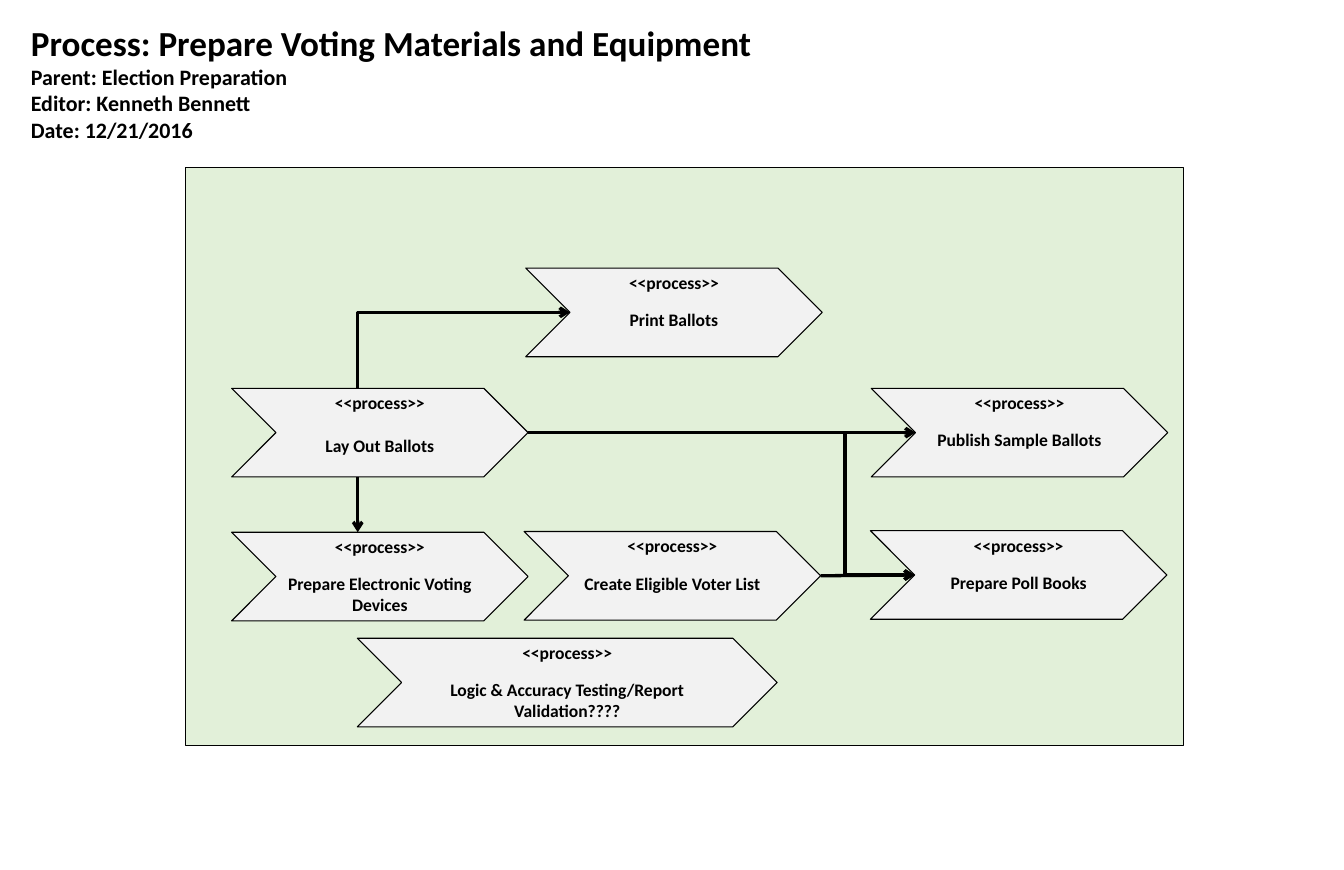
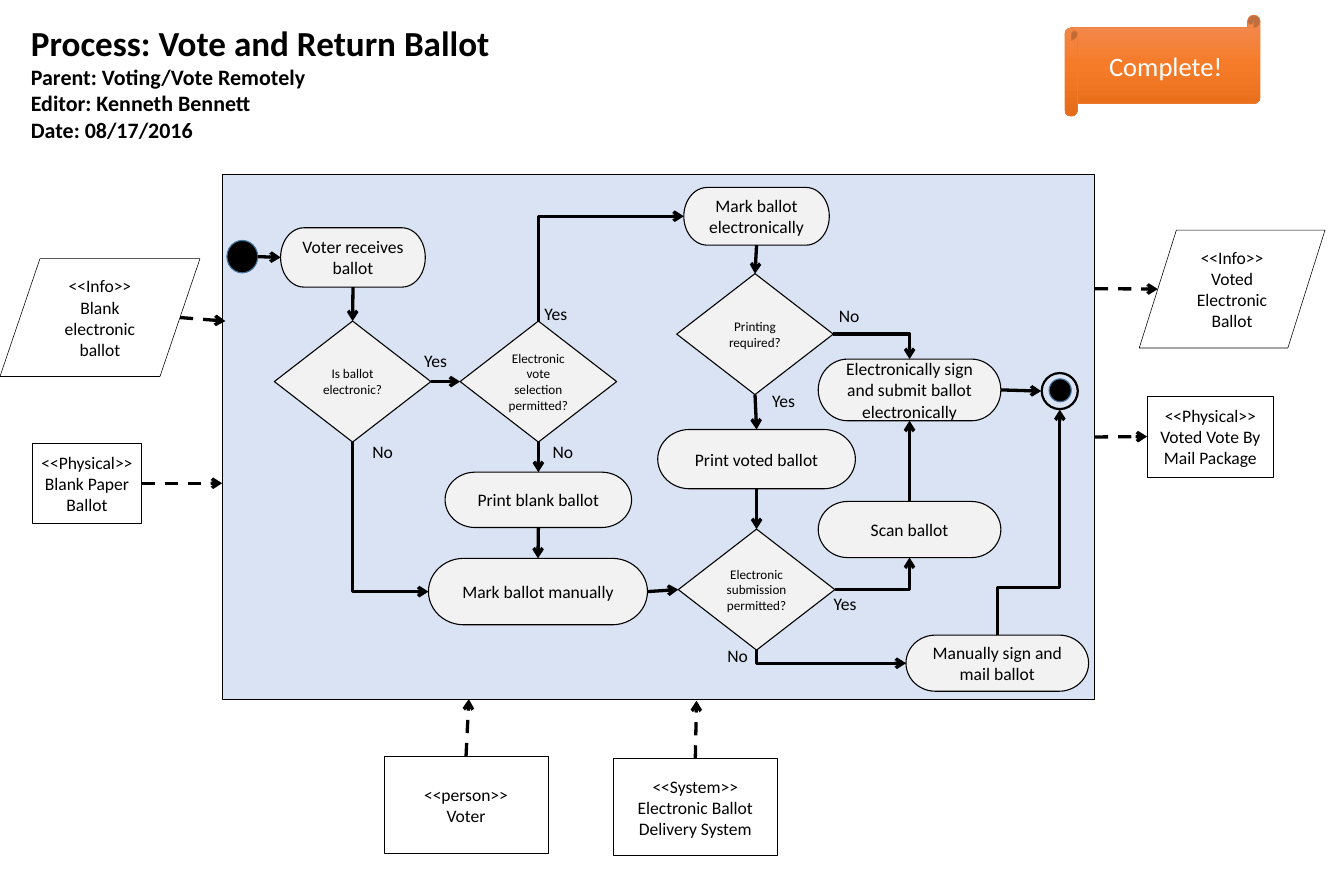
"""Build two election process diagrams."""
from copy import deepcopy
from dataclasses import dataclass
from typing import Any, NamedTuple

from lxml.etree import SubElement
from pptx import Presentation
from pptx.dml.color import RGBColor
from pptx.enum.dml import MSO_LINE
from pptx.enum.shapes import MSO_CONNECTOR, MSO_SHAPE
from pptx.enum.text import MSO_ANCHOR, MSO_AUTO_SIZE, PP_ALIGN
from pptx.oxml.ns import qn
from pptx.util import Inches, Pt

COLOURS = {
    "ink": "000000",
    "paper": "FFFFFF",
    "step": "F2F2F2",
    "preparation": "E2F0D9",
    "voting": "DAE3F3",
    "marker_edge": "43739E",
    "badge_edge": "ED7D31",
    "badge_top": "F18C57",
    "badge_middle": "F67B28",
    "badge_bottom": "E56C19",
}
TOP, LEFT, BOTTOM, RIGHT = range(4)
CHEVRON = MSO_SHAPE.CHEVRON
STEP = MSO_SHAPE.FLOWCHART_TERMINATOR
DECISION = MSO_SHAPE.FLOWCHART_DECISION
ENTITY = MSO_SHAPE.FLOWCHART_PROCESS
INFO = MSO_SHAPE.FLOWCHART_DATA
MARKER = MSO_SHAPE.FLOWCHART_CONNECTOR
RING = MSO_SHAPE.DONUT
PANEL = MSO_SHAPE.RECTANGLE
BADGE = MSO_SHAPE.HORIZONTAL_SCROLL
ROUND_KINDS = (MARKER, RING)
BADGE_STOPS = [(0, "badge_top"), (0.5, "badge_middle"), (1, "badge_bottom")]


class Look(NamedTuple):
    fill: str = ""
    edge: str = "ink"
    edge_width: float = 1
    size: float = 16
    ink: str = "ink"
    bold: bool = False
    anchor: Any = MSO_ANCHOR.MIDDLE


LOOKS = {
    CHEVRON: Look("step", bold=True, anchor=MSO_ANCHOR.TOP),
    STEP: Look("step"),
    DECISION: Look("step", size=12),
    ENTITY: Look(edge_width=0.5),
    INFO: Look(edge_width=0.5),
    MARKER: Look("ink", "marker_edge"),
    RING: Look("ink"),
    PANEL: Look(),
    BADGE: Look("badge_middle", "badge_edge", 0.5, 24.2, "paper"),
}


@dataclass
class Node:
    kind: Any
    left: float
    top: float
    width: float
    height: float
    text: str = ""
    fill: str = ""
    gap: float = 0

    def side(self, site: int) -> tuple[float, float]:
        notch = self.height / 2 if self.kind == CHEVRON else 0
        slant = self.width / 10 if self.kind == INFO else 0
        centre = self.left + (self.width - notch) / 2
        middle = self.top + self.height / 2
        return (
            (centre, self.top),
            (self.left + notch + slant, middle),
            (centre, self.top + self.height),
            (self.left + self.width - slant, middle),
        )[site]


class Link(NamedTuple):
    start: tuple
    end: tuple
    bends: int = 0
    upright: bool = False
    turn: float = 0.5
    dashed: bool = False


class Label(NamedTuple):
    text: str
    left: float
    top: float


@dataclass
class Diagram:
    heading: list[str]
    nodes: dict[str, Node]
    links: list[Link]
    labels: list[Label]


def process(left: float, top: float, name: str, width: float = 3.75, gap: float = 14.6) -> Node:
    return Node(CHEVRON, left, top, width, 1.12, f"<<process>>\n{name}", gap=gap)


def decision(left: float, top: float, question: str) -> Node:
    return Node(DECISION, left, top, 1.98, 1.53, question)


def rgb(name: str) -> RGBColor:
    return RGBColor.from_string(COLOURS[name])


def apply(target: Any, values: dict[str, Any]) -> None:
    for name, value in values.items():
        setattr(target, name, value)


def write(frame: Any, text: str, sizes: list[float], ink: str = "ink", bold: bool = False,
          align: Any = PP_ALIGN.CENTER, anchor: Any = MSO_ANCHOR.TOP, gap: float = 0) -> None:
    frame.text = text
    apply(frame, {"word_wrap": True, "auto_size": MSO_AUTO_SIZE.NONE, "vertical_anchor": anchor})
    for index, paragraph in enumerate(frame.paragraphs):
        apply(paragraph, {"alignment": align, "space_before": Pt(gap if index else 0)})
        size = sizes[min(index, len(sizes) - 1)]
        apply(paragraph.font, {"name": "Calibri", "size": Pt(size), "bold": bold})
        paragraph.font.color.rgb = rgb(ink)


def shade_badge(badge: Any) -> None:
    badge.fill.gradient()
    badge.fill.gradient_angle = 270
    stop_list = badge.element.spPr.find(qn("a:gradFill")).find(qn("a:gsLst"))
    stop_list.append(deepcopy(stop_list[0]))
    for stop, (position, colour) in zip(badge.fill.gradient_stops, BADGE_STOPS):
        stop.position = position
        stop.color.rgb = rgb(colour)


def draw_node(slide: Any, node: Node) -> Any:
    look = LOOKS[node.kind]
    box = map(Inches, (node.left, node.top, node.width, node.height))
    shape = slide.shapes.add_shape(node.kind, *box)
    shape.shadow.inherit = False
    shape.line.color.rgb = rgb(look.edge)
    shape.line.width = Pt(look.edge_width)
    fill = node.fill or look.fill
    if node.kind == BADGE:
        shade_badge(shape)
    elif fill:
        shape.fill.solid()
        shape.fill.fore_color.rgb = rgb(fill)
    else:
        shape.fill.background()
    if node.kind == RING:
        shape.adjustments[0] = 0.03
    if node.text:
        write(shape.text_frame, node.text, [look.size], look.ink, look.bold,
              anchor=look.anchor, gap=node.gap)
    return shape


def draw_link(slide: Any, link: Link, nodes: dict[str, Node], shapes: dict[str, Any]) -> None:
    points = [nodes[end[0]].side(end[1]) if isinstance(end[0], str) else end
              for end in (link.start, link.end)]
    (x1, y1), (x2, y2) = points
    if link.upright:
        centre_x, centre_y = (x1 + x2) / 2, (y1 + y2) / 2
        half_x, half_y = (y2 - y1) / 2, (x1 - x2) / 2
        x1, y1 = centre_x - half_x, centre_y - half_y
        x2, y2 = centre_x + half_x, centre_y + half_y
    ends = {"begin_x": Inches(x1), "begin_y": Inches(y1), "end_x": Inches(x2), "end_y": Inches(y2)}
    route = MSO_CONNECTOR.ELBOW if link.bends else MSO_CONNECTOR.STRAIGHT
    connector = slide.shapes.add_connector(route, *ends.values())
    joins = ((link.start, connector.begin_connect, "a:stCxn"),
             (link.end, connector.end_connect, "a:endCxn"))
    for end, connect, tag in joins:
        if isinstance(end[0], str) and nodes[end[0]].kind != INFO:
            connect(shapes[end[0]], end[1])
            if nodes[end[0]].kind in ROUND_KINDS:
                for join in connector.element.iter(qn(tag)):
                    join.set("idx", str(2 * end[1]))
    apply(connector, ends)
    connector.line.color.rgb = rgb("ink")
    connector.line.width = Pt(3)
    if link.dashed:
        connector.line.dash_style = MSO_LINE.DASH
    properties = connector.element.spPr
    if link.upright:
        properties.find(qn("a:xfrm")).set("rot", "5400000")
    if link.bends:
        geometry = properties.find(qn("a:prstGeom"))
        geometry.set("prst", f"bentConnector{link.bends + 1}")
        if link.bends == 2:
            guide = SubElement(geometry.find(qn("a:avLst")), qn("a:gd"))
            guide.set("name", "adj1")
            guide.set("fmla", f"val {round(link.turn * 100000)}")
    SubElement(properties.find(qn("a:ln")), qn("a:tailEnd")).set("type", "arrow")
    SubElement(properties, qn("a:effectLst"))


def draw_diagram(deck: Any, diagram: Diagram) -> None:
    slide = deck.slides.add_slide(deck.slide_layouts[5])
    title = slide.shapes.title
    apply(title, {"left": Inches(0.29), "top": Inches(0.22),
                  "width": Inches(15.6), "height": Inches(1.65)})
    write(title.text_frame, "\n".join(diagram.heading), [32, 20], bold=True, align=PP_ALIGN.LEFT)
    shapes = {key: draw_node(slide, node) for key, node in diagram.nodes.items()}
    for link in diagram.links:
        draw_link(slide, link, diagram.nodes, shapes)
    for label in diagram.labels:
        box = map(Inches, (label.left, label.top, 0.68, 0.37))
        write(slide.shapes.add_textbox(*box).text_frame, label.text, [16])


PREPARATION = Diagram(
    ["Process: Prepare Voting Materials and Equipment", "Parent: Election Preparation",
     "Editor: Kenneth Bennett", "Date: 12/21/2016"],
    {
        "panel": Node(PANEL, 2.35, 2.12, 12.62, 7.31, fill="preparation"),
        "layout": process(2.93, 4.91, "Lay Out Ballots", gap=19.5),
        "print": process(6.65, 3.39, "Print Ballots"),
        "publish": process(11.02, 4.91, "Publish Sample Ballots"),
        "devices": process(2.93, 6.73, "Prepare Electronic Voting Devices"),
        "poll_books": process(11.01, 6.71, "Prepare Poll Books"),
        "voter_list": process(6.63, 6.72, "Create Eligible Voter List"),
        "testing": process(4.52, 8.07, "Logic & Accuracy Testing/Report Validation????", 5.31),
    },
    [
        Link(("layout", RIGHT), ("publish", LEFT)),
        Link(("layout", TOP), ("print", LEFT), 1, True),
        Link(("layout", RIGHT), ("poll_books", LEFT), 2, turn=0.82),
        Link(("layout", BOTTOM), ("devices", TOP)),
        Link(("voter_list", RIGHT), ("poll_books", LEFT)),
    ],
    [],
)

VOTING = Diagram(
    ["Process: Vote and Return Ballot", "Parent: Voting/Vote Remotely",
     "Editor: Kenneth Bennett", "Date: 08/17/2016"],
    {
        "panel": Node(PANEL, 2.82, 2.21, 11.03, 6.63, fill="voting"),
        "begin": Node(MARKER, 2.87, 3.04, 0.39, 0.41),
        "finish": Node(RING, 13.17, 4.71, 0.47, 0.47),
        "finish_core": Node(MARKER, 13.27, 4.79, 0.28, 0.29),
        "receive": Node(STEP, 3.55, 2.88, 1.83, 0.75, "Voter receives ballot"),
        "system": Node(ENTITY, 7.76, 9.59, 2.07, 1.23,
                       "<<System>>\nElectronic Ballot Delivery System"),
        "voted_info": Node(INFO, 14.41, 2.91, 2.35, 1.49, "<<Info>>\nVoted Electronic Ballot"),
        "blank_info": Node(INFO, 0, 3.27, 2.53, 1.49, "<<Info>>\nBlank electronic ballot"),
        "mark_online": Node(STEP, 8.65, 2.37, 1.84, 0.73, "Mark ballot electronically"),
        "print_blank": Node(STEP, 5.63, 5.97, 2.36, 0.7, "Print blank ballot"),
        "mark_manual": Node(STEP, 5.42, 7.06, 2.77, 0.84, "Mark ballot manually"),
        "submit": Node(STEP, 10.35, 4.54, 2.31, 0.78,
                       "Electronically sign and submit ballot electronically"),
        "selection": decision(5.82, 4.06, "Electronic vote selection permitted?"),
        "print_voted": Node(STEP, 8.32, 5.43, 2.5, 0.75, "Print voted ballot"),
        "voter": Node(ENTITY, 4.86, 9.56, 2.07, 1.23, "<<person>>\nVoter"),
        "package": Node(ENTITY, 14.51, 5.01, 1.6, 1.02, "<<Physical>>\nVoted Vote By Mail Package"),
        "electronic": decision(3.47, 4.06, "Is ballot electronic?"),
        "printing": decision(8.56, 3.46, "Printing required?"),
        "submission": decision(8.58, 6.69, "Electronic submission permitted?"),
        "scan": Node(STEP, 10.35, 6.34, 2.31, 0.71, "Scan ballot"),
        "mail": Node(STEP, 11.46, 8.03, 2.31, 0.71, "Manually sign and mail ballot"),
        "paper": Node(ENTITY, 0.41, 5.6, 1.38, 1.02, "<<Physical>>\nBlank Paper Ballot"),
        "badge": Node(BADGE, 13.47, 0.19, 2.47, 1.28, "Complete!"),
    },
    [
        Link(("begin", RIGHT), ("receive", LEFT)),
        Link(("voter", TOP), (5.93, 8.84), dashed=True),
        Link(("blank_info", RIGHT), (2.85, 4.06), dashed=True),
        Link(("system", TOP), (8.81, 8.86), dashed=True),
        Link((13.85, 3.65), ("voted_info", LEFT), dashed=True),
        Link(("panel", RIGHT), ("package", LEFT), dashed=True),
        Link(("paper", RIGHT), (2.81, 6.11), dashed=True),
        Link(("mark_manual", RIGHT), ("submission", LEFT)),
        Link(("receive", BOTTOM), ("electronic", TOP)),
        Link(("print_blank", BOTTOM), ("mark_manual", TOP)),
        Link(("electronic", RIGHT), ("selection", LEFT)),
        Link(("selection", TOP), ("mark_online", LEFT), 1, True),
        Link(("electronic", BOTTOM), ("mark_manual", LEFT), 1, True),
        Link(("scan", TOP), ("submit", BOTTOM)),
        Link(("selection", BOTTOM), ("print_blank", TOP)),
        Link(("mark_online", BOTTOM), ("printing", TOP)),
        Link(("printing", BOTTOM), ("print_voted", TOP)),
        Link(("print_voted", BOTTOM), ("submission", TOP)),
        Link(("submission", RIGHT), ("scan", BOTTOM), 1),
        Link(("submission", BOTTOM), ("mail", LEFT), 1, True),
        Link(("printing", RIGHT), ("submit", TOP), 1),
        Link(("mail", TOP), ("finish", BOTTOM), 2, True, 0.21),
        Link(("submit", RIGHT), ("finish", LEFT)),
    ],
    [
        Label("Yes", 5.17, 4.37), Label("No", 4.5, 5.52), Label("No", 6.78, 5.52),
        Label("Yes", 9.57, 4.88), Label("No", 10.4, 3.81), Label("Yes", 6.69, 3.78),
        Label("Yes", 10.35, 7.45), Label("No", 8.99, 8.11),
    ],
)


def main() -> None:
    deck = Presentation()
    apply(deck, {"slide_width": Inches(17), "slide_height": Inches(11)})
    for diagram in (PREPARATION, VOTING):
        draw_diagram(deck, diagram)
    deck.save("out.pptx")


if __name__ == "__main__":
    main()
